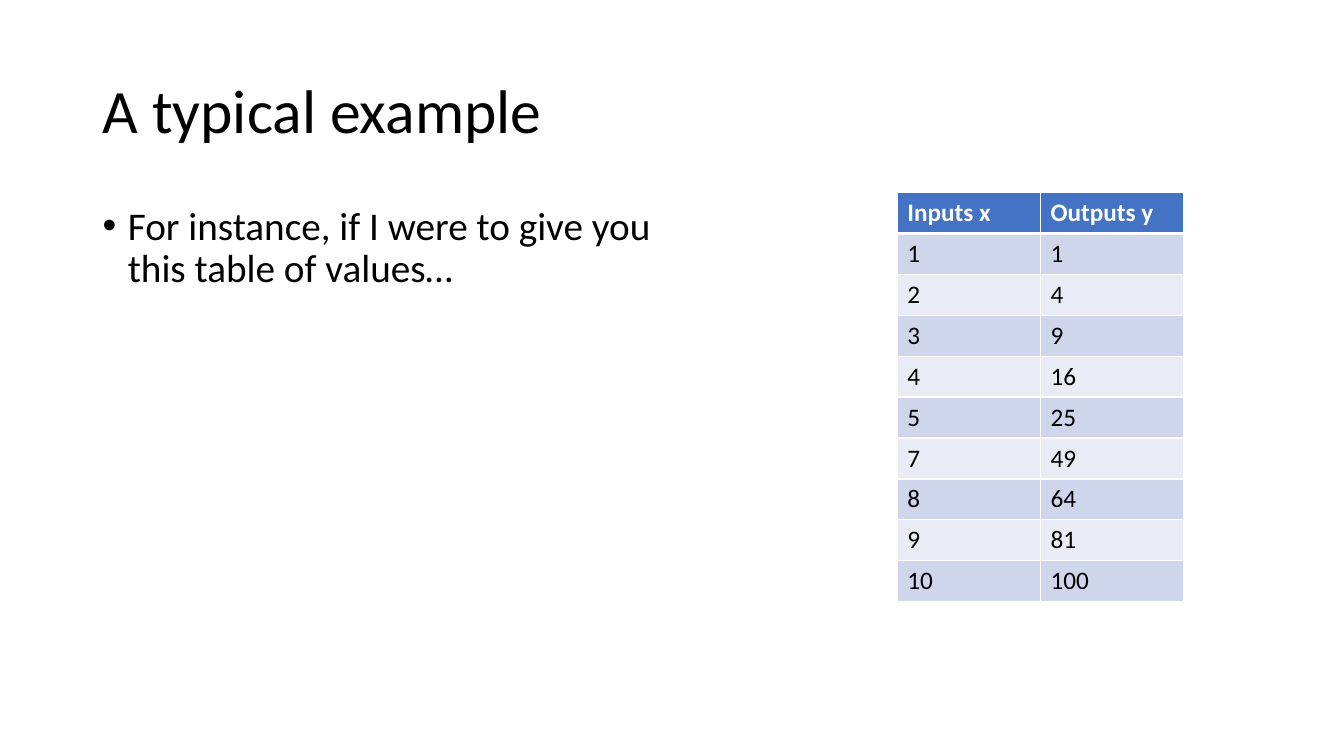
from dataclasses import dataclass

from lxml.etree import SubElement
from pptx import Presentation
from pptx.dml.color import RGBColor
from pptx.enum.text import MSO_ANCHOR
from pptx.oxml import parse_xml
from pptx.oxml.ns import nsdecls, qn
from pptx.util import Inches, Pt


@dataclass(frozen=True)
class Theme:
    font: str = "Calibri"
    text: str = "000000"
    header_text: str = "FFFFFF"
    header_fill: str = "4472C4"
    odd_fill: str = "CFD5EA"
    even_fill: str = "E9EBF5"
    rule: str = "FFFFFF"
    title_size: int = 44
    body_size: int = 28
    table_size: int = 18
    thin_rule: int = 1
    thick_rule: int = 3


THEME = Theme()


def style_text(paragraph, size, color=THEME.text, bold=False):
    for run in paragraph.runs:
        run.font.name = THEME.font
        run.font.size = Pt(size)
        run.font.bold = bold
        run.font.color.rgb = RGBColor.from_string(color)


def add_text(slide, box, text, size, anchor):
    frame = slide.shapes.add_textbox(*map(Inches, box)).text_frame
    frame.word_wrap = True
    frame.vertical_anchor = anchor
    paragraph = frame.paragraphs[0]
    paragraph.text = text
    paragraph.line_spacing = 0.9
    style_text(paragraph, size)
    return paragraph


def add_title(slide, box, text):
    add_text(slide, box, text, THEME.title_size, MSO_ANCHOR.MIDDLE)


def add_bullet(slide, box, text):
    paragraph = add_text(slide, box, text, THEME.body_size, MSO_ANCHOR.TOP)
    paragraph.space_before = Pt(10)
    # Hanging bullet
    properties = paragraph._p.get_or_add_pPr()
    properties.set("marL", str(Inches(0.25)))
    properties.set("indent", str(-Inches(0.25)))
    SubElement(properties, qn("a:buFont"), typeface="Arial")
    SubElement(properties, qn("a:buChar"), char="•")


def set_borders(cell, top, bottom):
    widths = {"lnL": THEME.thin_rule, "lnR": THEME.thin_rule, "lnT": top, "lnB": bottom}
    properties = cell._tc.get_or_add_tcPr()
    # Border elements come before the fill
    for position, (side, width) in enumerate(widths.items()):
        properties.insert(position, parse_xml(
            f'<a:{side} {nsdecls("a")} w="{Pt(width)}"><a:solidFill>'
            f'<a:srgbClr val="{THEME.rule}"/></a:solidFill></a:{side}>'))


def add_value_table(slide, box, rows):
    height = box[3] / len(rows)
    table = slide.shapes.add_table(len(rows), len(rows[0]), *map(Inches, box)).table
    for row_index, row in enumerate(rows):
        table.rows[row_index].height = Inches(height)
        header = row_index == 0
        if header:
            fill = THEME.header_fill
        else:
            fill = THEME.odd_fill if row_index % 2 else THEME.even_fill
        for column_index, value in enumerate(row):
            cell = table.cell(row_index, column_index)
            cell.text_frame.text = str(value)
            color = THEME.header_text if header else THEME.text
            style_text(cell.text_frame.paragraphs[0], THEME.table_size, color, header)
            cell.fill.solid()
            cell.fill.fore_color.rgb = RGBColor.from_string(fill)
            # The heavy rule lies between the header and the first values
            set_borders(cell,
                        THEME.thick_rule if row_index == 1 else THEME.thin_rule,
                        THEME.thick_rule if header else THEME.thin_rule)


def main():
    presentation = Presentation()
    presentation.slide_width = Inches(13.33)
    presentation.slide_height = Inches(7.5)
    slide = presentation.slides.add_slide(presentation.slide_layouts[6])

    add_title(slide, (0.92, 0.4, 11.5, 1.45), "A typical example")
    add_bullet(slide, (0.92, 2, 5.67, 4.76),
               "For instance, if I were to give you this table of values…")

    # Squares, with 6 left out
    inputs = (1, 2, 3, 4, 5, 7, 8, 9, 10)
    values = [("Inputs x", "Outputs y")] + [(x, x ** 2) for x in inputs]
    add_value_table(slide, (8.9, 1.91, 2.84, 4.06), values)

    presentation.save("out.pptx")


if __name__ == "__main__":
    main()
